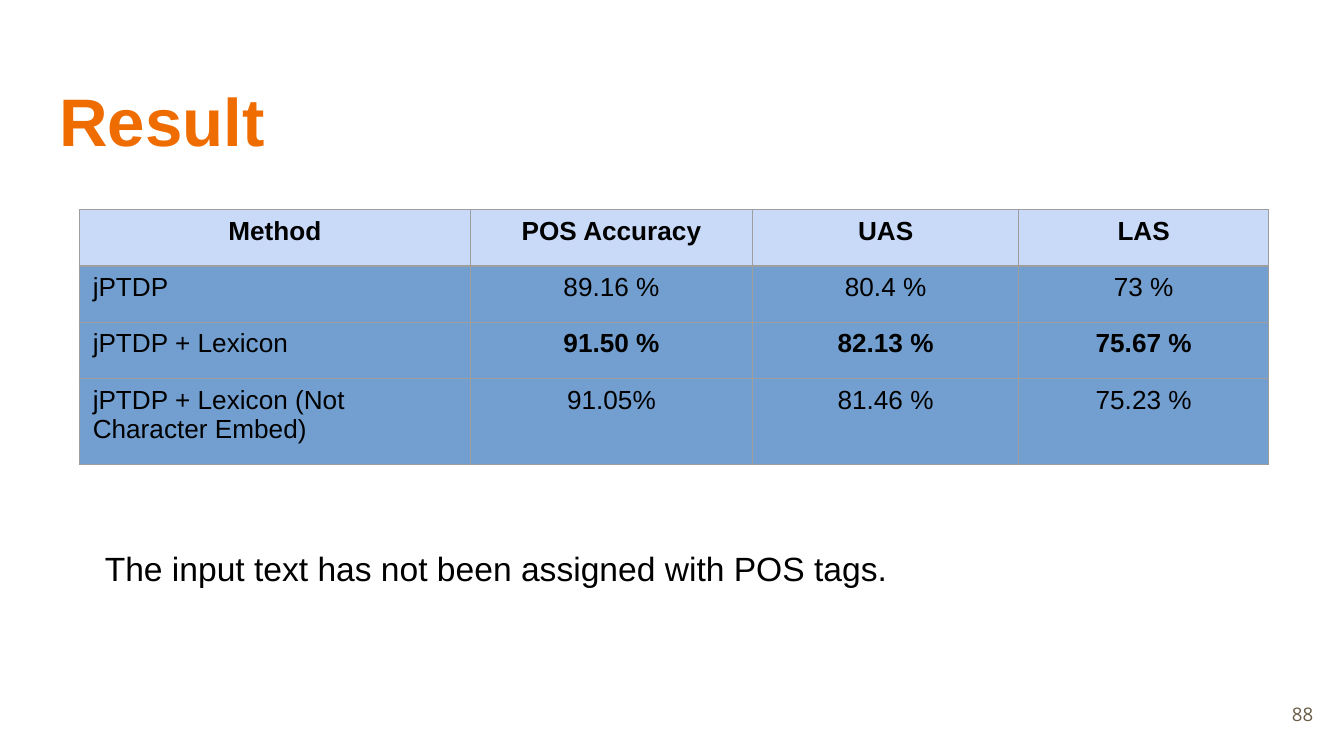
from dataclasses import dataclass

from lxml.etree import SubElement
from pptx import Presentation
from pptx.dml.color import RGBColor as RGB
from pptx.enum.text import MSO_ANCHOR as Anchor, MSO_AUTO_SIZE as AutoSize, PP_ALIGN as Align
from pptx.oxml.ns import qn
from pptx.util import Inches, Pt


@dataclass(frozen=True)
class Theme:
    font: str = "Arial"
    number_font: str = "Open Sans"
    title: str = "EF6C00"
    text: str = "000000"
    number: str = "695D46"
    header_fill: str = "C9DAF8"
    body_fill: str = "729FCF"
    border: str = "9E9E9E"
    title_size: int = 36
    body_size: int = 18
    table_size: int = 14
    number_size: int = 10


THEME = Theme()
WIDTH = 10
HEIGHT = WIDTH * 9 / 16
INSET = 0.1

TABLE_LEFT, TABLE_TOP = 0.59, 1.56
COLUMNS = [2.91, 2.1, 1.98, 1.86]
ROWS = [0.42, 0.42, 0.42, 0.64]
RESULTS = [
    ["Method", "POS Accuracy", "UAS", "LAS"],
    ["jPTDP", "89.16 %", "80.4 %", "73 %"],
    ["jPTDP + Lexicon", "91.50 %", "82.13 %", "75.67 %"],
    ["jPTDP + Lexicon (Not Character Embed)", "91.05%", "81.46 %", "75.23 %"],
]
BEST_ROW = 2


def add_run(paragraph, text, size, color, font=THEME.font, bold=False):
    run = paragraph.add_run()
    run.text = text
    run.font.name = font
    run.font.size = Pt(size)
    run.font.bold = bold
    run.font.color.rgb = RGB.from_string(color)


def set_frame(shape, left, top, width, height, align=Align.LEFT, anchor=Anchor.TOP):
    """Place a text shape and return its first paragraph."""
    shape.left, shape.top = Inches(left), Inches(top)
    shape.width, shape.height = Inches(width), Inches(height)
    frame = shape.text_frame
    frame.word_wrap = True
    frame.auto_size = AutoSize.NONE
    frame.vertical_anchor = anchor
    frame.margin_left = frame.margin_right = Inches(INSET)
    frame.margin_top = frame.margin_bottom = Inches(INSET)
    paragraph = frame.paragraphs[0]
    paragraph.alignment = align
    paragraph.space_before = Pt(0)
    return paragraph


def remove_bullet(paragraph):
    properties = paragraph._p.get_or_add_pPr()
    properties.set("marL", "0")
    properties.set("indent", "0")
    SubElement(properties, qn("a:buNone"))


def format_cell(cell, fill):
    cell.margin_left = cell.margin_right = Inches(INSET)
    cell.margin_top = cell.margin_bottom = Inches(INSET / 2)
    # Borders precede the fill in the cell properties
    properties = cell._tc.get_or_add_tcPr()
    for side in ("lnL", "lnR", "lnT", "lnB"):
        line = SubElement(properties, qn(f"a:{side}"), w=str(Pt(0.75)))
        solid = SubElement(line, qn("a:solidFill"))
        SubElement(solid, qn("a:srgbClr"), val=THEME.border)
    cell.fill.solid()
    cell.fill.fore_color.rgb = RGB.from_string(fill)


def add_results_table(slide):
    table = slide.shapes.add_table(
        len(ROWS), len(COLUMNS), Inches(TABLE_LEFT), Inches(TABLE_TOP),
        Inches(sum(COLUMNS)), Inches(sum(ROWS))).table
    for column, width in zip(table.columns, COLUMNS):
        column.width = Inches(width)
    for row, height in zip(table.rows, ROWS):
        row.height = Inches(height)
    for r, values in enumerate(RESULTS):
        for c, value in enumerate(values):
            is_header, is_label = r == 0, c == 0
            cell = table.cell(r, c)
            format_cell(cell, THEME.header_fill if is_header else THEME.body_fill)
            paragraph = cell.text_frame.paragraphs[0]
            paragraph.alignment = Align.LEFT if is_label and not is_header else Align.CENTER
            add_run(paragraph, value, THEME.table_size, THEME.text,
                    bold=is_header or (r == BEST_ROW and not is_label))


def main():
    presentation = Presentation()
    presentation.slide_width, presentation.slide_height = Inches(WIDTH), Inches(HEIGHT)
    slide = presentation.slides.add_slide(presentation.slide_layouts[1])

    # Title
    title = set_frame(slide.shapes.title, 0.34, 0.49, 9.32, 0.77)
    add_run(title, "Result", THEME.title_size, THEME.title, bold=True)

    # Remark below the table
    remark = set_frame(slide.placeholders[1], 0.68, 3.93, 9.32, 0.7)
    remark.line_spacing = 1.15
    remove_bullet(remark)
    add_run(remark, "The input text has not been assigned with POS tags.",
            THEME.body_size, THEME.text)

    # Page number
    number_box = slide.shapes.add_textbox(0, 0, 0, 0)
    number = set_frame(number_box, 9.27, 5.1, 0.6, 0.43, Align.RIGHT, Anchor.MIDDLE)
    add_run(number, "88", THEME.number_size, THEME.number, THEME.number_font)

    # Results
    add_results_table(slide)
    presentation.save("out.pptx")


if __name__ == "__main__":
    main()
